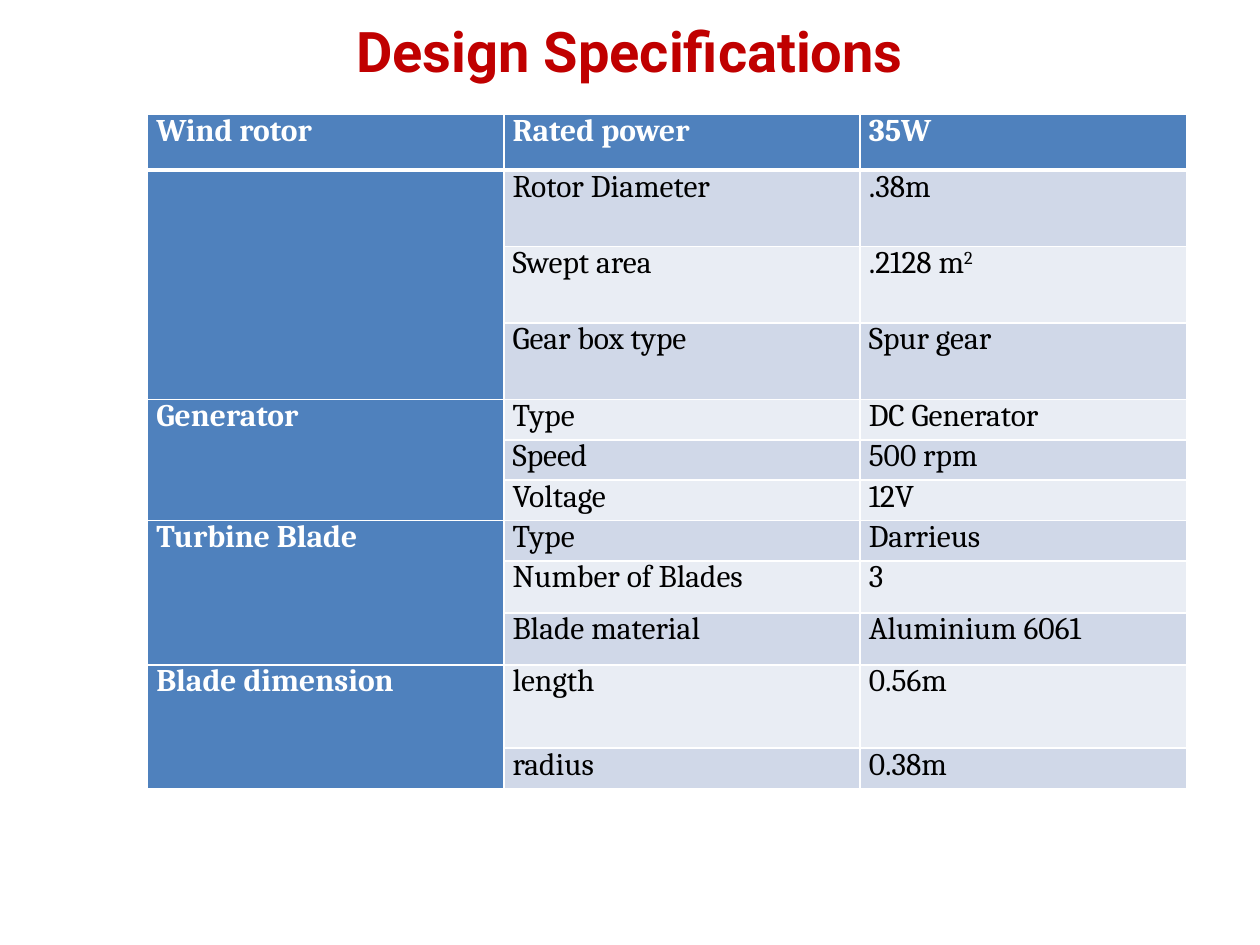
from dataclasses import dataclass

from lxml.etree import SubElement
from pptx import Presentation
from pptx.dml.color import RGBColor
from pptx.enum.text import PP_ALIGN
from pptx.oxml.ns import qn
from pptx.util import Pt


@dataclass(frozen=True)
class Theme:
    title: str = "C00000"
    head: str = "4F81BD"
    bands: tuple = ("D0D8E8", "E9EDF4")
    light: str = "FFFFFF"
    dark: str = "000000"
    title_font: str = "Roboto"
    body_font: str = "Cambria"
    title_size: int = 32
    body_size: int = 18


theme = Theme()


def add_run(p, text, font, size, color, bold):
    r = p.add_run()
    r.text = text
    r.font.name = font
    r.font.size = Pt(size)
    r.font.bold = bold
    r.font.color.rgb = RGBColor.from_string(color)
    return r


def set_borders(cell, top, bottom):
    """Draw light lines round a cell; top and bottom are widths in points."""
    tcPr = cell._tc.get_or_add_tcPr()
    for tag, width in (("lnL", 1), ("lnR", 1), ("lnT", top), ("lnB", bottom)):
        ln = SubElement(tcPr, qn(f"a:{tag}"), w=str(Pt(width)))
        fill = SubElement(ln, qn("a:solidFill"))
        SubElement(fill, qn("a:srgbClr"), val=theme.light)


prs = Presentation()
prs.slide_width, prs.slide_height = Pt(720), Pt(540)
s = prs.slides.add_slide(prs.slide_layouts[6])

# Specification table: group, property, value, row height
rows = [
    ("Wind rotor", "Rated power", "35W", 32),
    ("", "Rotor Diameter", ".38m", 43.7),
    ("", "Swept area", ".2128 m²", 43.7),
    ("", "Gear box type", "Spur gear", 43.7),
    ("Generator", "Type", "DC Generator", 23.1),
    ("", "Speed", "500 rpm", 23.1),
    ("", "Voltage", "12V", 23.1),
    ("Turbine Blade", "Type", "Darrieus", 23.1),
    ("", "Number of Blades", "3", 29.7),
    ("", "Blade material", "Aluminium 6061", 29.7),
    ("Blade dimension", "length", "0.56m", 47.7),
    ("", "radius", "0.38m", 23.1),
]
col_widths = (203.6, 203.6, 186.6)
group_spans = ((1, 3), (4, 6), (7, 9), (10, 11))

table = s.shapes.add_table(len(rows), len(col_widths), Pt(84.3), Pt(65.2),
                           Pt(sum(col_widths)), Pt(sum(row[-1] for row in rows))).table
for column, width in zip(table.columns, col_widths):
    column.width = Pt(width)

for i, (*texts, height) in enumerate(rows):
    table.rows[i].height = Pt(height)
    for j, text in enumerate(texts):
        cell = table.cell(i, j)
        is_head = i == 0 or j == 0
        set_borders(cell, top=3 if i == 1 else 1, bottom=3 if i == 0 else 1)
        cell.fill.solid()
        cell.fill.fore_color.rgb = RGBColor.from_string(
            theme.head if is_head else theme.bands[(i - 1) % 2])
        cell.margin_left = cell.margin_right = Pt(5)
        cell.margin_top, cell.margin_bottom = Pt(10), Pt(0)
        p = cell.text_frame.paragraphs[0]
        p.line_spacing = Pt(10)
        if not text:
            continue
        style = (theme.body_font, theme.body_size,
                 theme.light if is_head else theme.dark, is_head)
        base, square, _ = text.partition("²")
        add_run(p, base, *style)
        if square:
            r = add_run(p, "2", *style)
            r._r.get_or_add_rPr().set("baseline", "30000")

for first, last in group_spans:
    table.cell(first, 0).merge(table.cell(last, 0))

# Title
tf = s.shapes.add_textbox(Pt(0), Pt(6), Pt(720), Pt(46)).text_frame
tf.word_wrap = True
p = tf.paragraphs[0]
p.alignment = PP_ALIGN.CENTER
add_run(p, "Design Specifications", theme.title_font, theme.title_size, theme.title, True)

prs.save("out.pptx")
